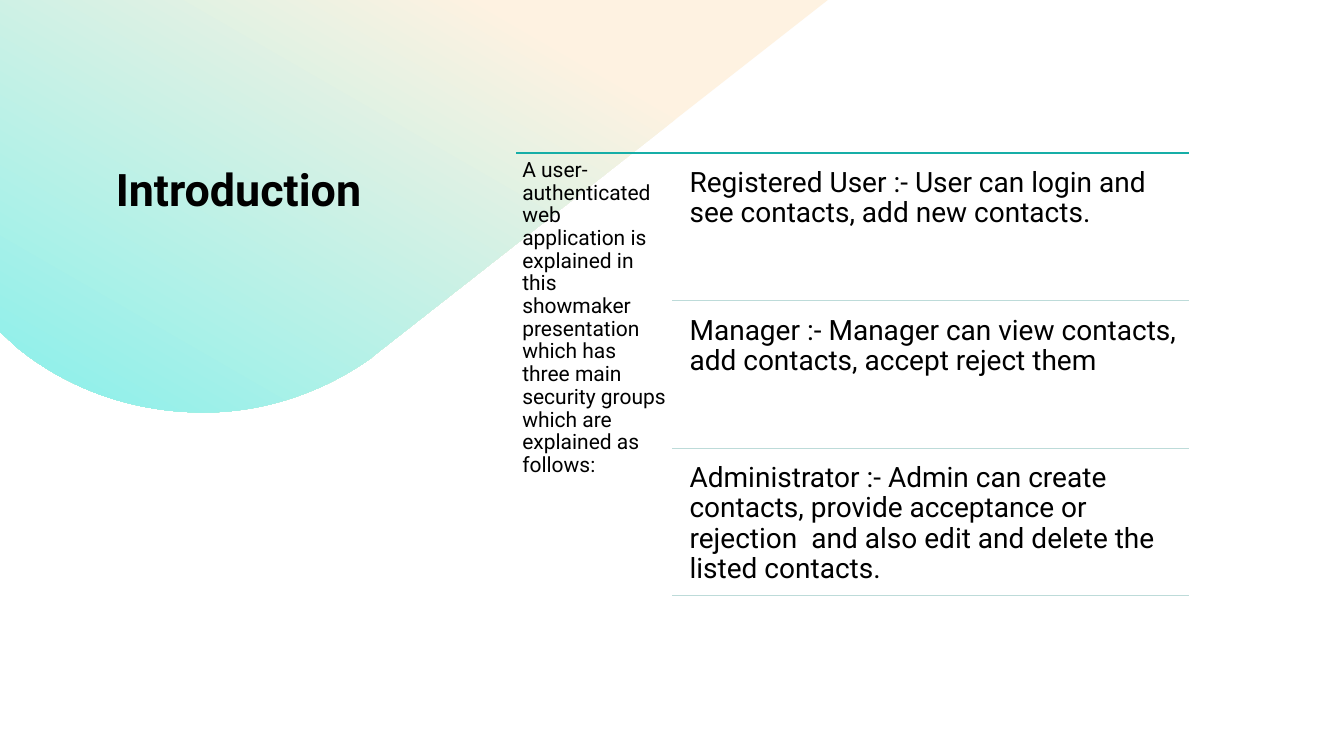
"""Build the Introduction slide with its three security groups."""
from lxml.etree import SubElement
from pptx import Presentation
from pptx.dml.color import RGBColor
from pptx.enum.shapes import MSO_CONNECTOR
from pptx.enum.text import MSO_ANCHOR
from pptx.oxml.ns import qn
from pptx.util import Inches, Pt

TITLE = "Introduction"
SUMMARY = ("A user-authenticated web application is explained in this showmaker "
           "presentation which has three main security groups which are explained as follows:")
GROUPS = [
    "Registered User :- User can login and see contacts, add new contacts.",
    "Manager :- Manager can view contacts, add contacts, accept reject them",
    "Administrator :- Admin can create contacts, provide acceptance or rejection  and also "
    "edit and delete the listed contacts.",
]
COLORS = {"text": "000000", "rule": "16AEA7", "divider": "BDDBD9",
          "peach": "FEF2E1", "aqua": "88F0EB"}
FONT = "Roboto"
WIDTH, HEIGHT = 13.33, 7.5
LIST_LEFT, LIST_RIGHT, LIST_TOP, LIST_BOTTOM = 5.12, 11.79, 1.52, 5.91
GROUP_LEFT, TEXT_GAP = 6.67, 0.08
ROW = (LIST_BOTTOM - LIST_TOP) / len(GROUPS)

WAVE_START = (0, 0)
WAVE = [
    [(8.21, 0)],
    [(3.73, 3.51)],
    [(3.67, 3.56)],
    [(3.2, 3.89), (2.66, 4.07), (2.12, 4.09)],
    [(2.06, 4.09), (2, 4.09), (1.95, 4.09)],
    [(1.31, 4.08), (0.67, 3.86), (0.16, 3.44)],
    [(0, 3.29)],
]
CURVE_STEPS = 24


def color(name):
    return RGBColor.from_string(COLORS[name])


def curve_points(start, controls):
    corners = [start, *controls]
    for step in range(1, CURVE_STEPS + 1):
        t = step / CURVE_STEPS
        weights = ((1 - t) ** 3, 3 * t * (1 - t) ** 2, 3 * t * t * (1 - t), t ** 3)
        yield tuple(sum(w * corner[axis] for w, corner in zip(weights, corners))
                    for axis in (0, 1))


def add_wave(page):
    points, pen = [], WAVE_START
    for segment in WAVE:
        points += segment if len(segment) == 1 else curve_points(pen, segment)
        pen = segment[-1]
    builder = page.shapes.build_freeform(*map(Inches, WAVE_START))
    builder.add_line_segments([(Inches(x), Inches(y)) for x, y in points], close=True)
    wave = builder.convert_to_shape()
    wave.shadow.inherit = False
    wave.line.fill.background()
    wave.fill.gradient()
    wave.fill.gradient_angle = 240
    for stop, position, name in zip(wave.fill.gradient_stops, (0.22, 1), ("peach", "aqua")):
        stop.position = position
        stop.color.rgb = color(name)


def add_text(page, text, place, size, insets, bold=False, spacing=0.9, anchor=MSO_ANCHOR.TOP):
    box = page.shapes.add_textbox(*map(Inches, place))
    frame = box.text_frame
    frame.word_wrap = True
    frame.vertical_anchor = anchor
    side, end = map(Inches, insets)
    frame.margin_left = frame.margin_right = side
    frame.margin_top = frame.margin_bottom = end
    para = frame.paragraphs[0]
    para.line_spacing = spacing
    span = para.add_run()
    span.text = text
    span.font.name = FONT
    span.font.size = Pt(size)
    span.font.bold = bold
    span.font.color.rgb = color("text")


def add_rule(page, left, top, name):
    rule = page.shapes.add_connector(MSO_CONNECTOR.STRAIGHT, Inches(left), Inches(top),
                                     Inches(LIST_RIGHT), Inches(top))
    rule.line.width = Pt(1)
    rule.line.color.rgb = color(name)
    SubElement(rule._element.spPr, qn("a:effectLst"))


def main():
    deck = Presentation()
    deck.slide_width, deck.slide_height = Inches(WIDTH), Inches(HEIGHT)
    page = deck.slides.add_slide(deck.slide_layouts[6])
    add_wave(page)
    add_text(page, TITLE, (1.05, 0.55, 4.08, 1.64), 32, (0.1, 0.05), bold=True, spacing=1.0,
             anchor=MSO_ANCHOR.BOTTOM)
    add_rule(page, LIST_LEFT, LIST_TOP, "rule")
    add_text(page, SUMMARY, (LIST_LEFT, LIST_TOP, GROUP_LEFT - LIST_LEFT,
                             LIST_BOTTOM - LIST_TOP), 15, (0.06, 0.06))
    text_left = GROUP_LEFT + TEXT_GAP + 0.01
    for index, group in enumerate(GROUPS):
        top = LIST_TOP + index * ROW
        add_text(page, group, (text_left, top + TEXT_GAP, LIST_RIGHT - text_left,
                               ROW - TEXT_GAP), 20, (0.08, 0.07))
        add_rule(page, GROUP_LEFT, top + ROW, "divider")
    deck.save("out.pptx")


if __name__ == "__main__":
    main()
